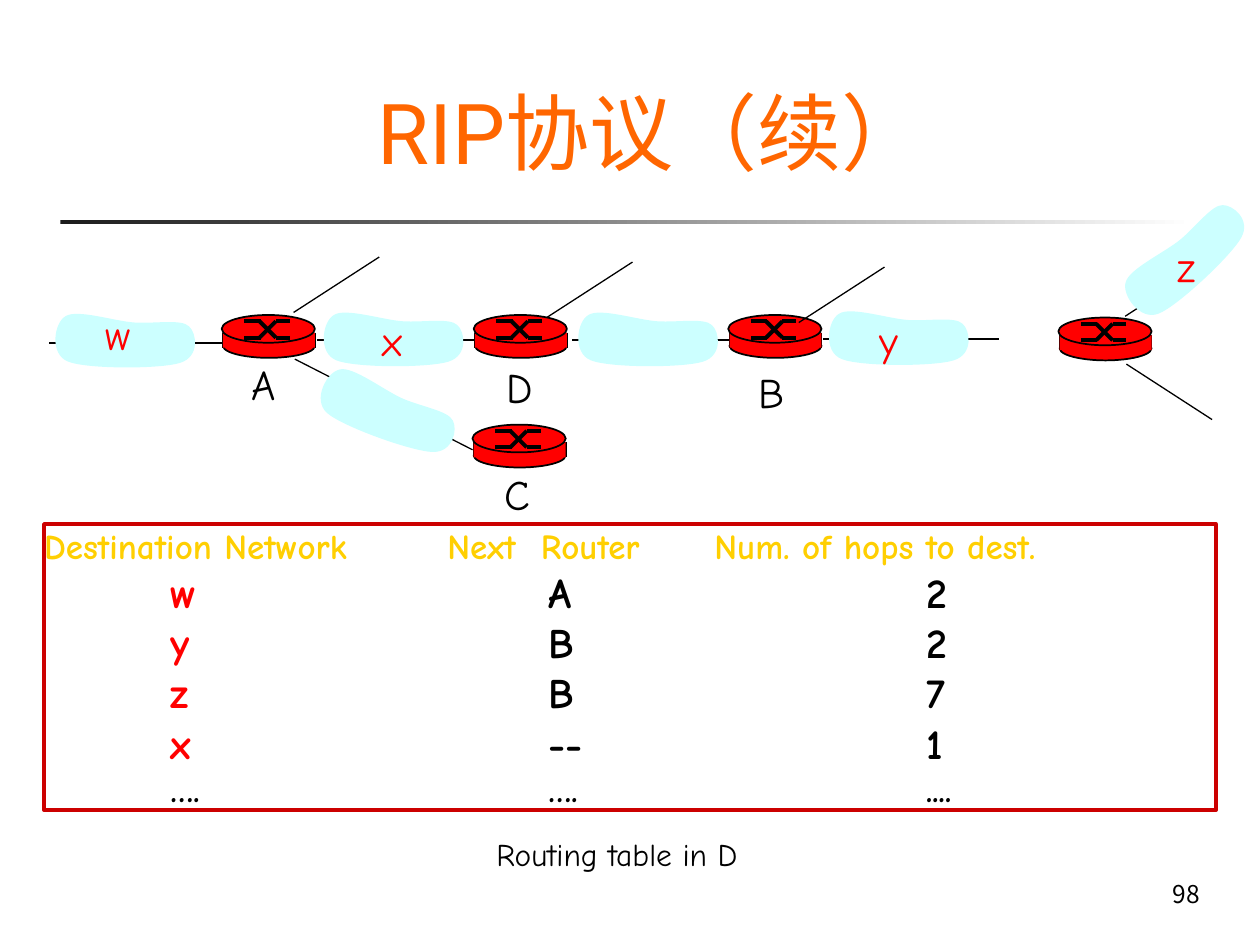
from lxml import etree
from pptx import Presentation
from pptx.dml.color import RGBColor
from pptx.enum.shapes import MSO_CONNECTOR, MSO_SHAPE
from pptx.enum.text import MSO_ANCHOR, MSO_AUTO_SIZE, PP_ALIGN
from pptx.oxml.ns import qn
from pptx.util import Pt

RECT, OVAL = MSO_SHAPE.RECTANGLE, MSO_SHAPE.OVAL
LEFT, CENTER, RIGHT = PP_ALIGN.LEFT, PP_ALIGN.CENTER, PP_ALIGN.RIGHT
PX = 9144  # 100 px to the inch
HAND, SANS, TITLE = "Comic Neue", "Noto Sans CJK SC", "Roboto"
BLACK, RED, CYAN = "000000", "FF0000", "CCFFFF"

# Cloud outline in its box: start, then two controls and an end per curve
CLOUD_W, CLOUD_H = 120, 48
CLOUD_START = (68, 11)
CLOUD_CURVES = [
    ((52, 10), (22, 0), (13, 6)),
    ((4, 11), (0, 36), (15, 42)),
    ((30, 48), (88, 48), (104, 43)),
    ((120, 38), (117, 19), (111, 14)),
    ((105, 8), (84, 12), (68, 11)),
]
ROUTER_MARKS = [
    (18, 5, 31, 5), (43, 18, 54, 18), (30, 5, 43, 18),
    (18, 18, 31, 18), (43, 5, 54, 5), (30, 18, 43, 5),
]


def px(*values):
    return [round(v * PX) for v in values]


def rgb(hex_color):
    return RGBColor.from_string(hex_color)


def style_run(r, size, font, color, bold=False):
    r.font.size, r.font.name, r.font.bold = Pt(size), font, bold
    r.font.color.rgb = rgb(color)


def style_shape(sp, fill=None, line=None, width=1):
    sp.shadow.inherit = False
    if fill:
        sp.fill.solid()
        sp.fill.fore_color.rgb = rgb(fill)
    else:
        sp.fill.background()
    if line:
        sp.line.color.rgb = rgb(line)
        sp.line.width = Pt(width)
    else:
        sp.line.fill.background()


def add_box(shapes, kind, box, fill=None, line=None, width=1):
    sp = shapes.add_shape(kind, *px(*box))
    style_shape(sp, fill, line, width)
    return sp


def add_line(shapes, x1, y1, x2, y2, width):
    cn = shapes.add_connector(MSO_CONNECTOR.STRAIGHT, *px(x1, y1, x2, y2))
    cn.line.color.rgb = rgb(BLACK)
    cn.line.width = Pt(width)
    etree.SubElement(cn._element.spPr, qn("a:effectLst"))


def add_label(s, text, box, size, color=BLACK, font=HAND, align=LEFT):
    tf = s.shapes.add_textbox(*px(*box)).text_frame
    tf.word_wrap = align == RIGHT
    p = tf.paragraphs[0]
    p.text, p.alignment = text, align
    style_run(p.runs[0], size, font, color)


def add_router(s, x, y):
    shapes = s.shapes.add_group_shape().shapes
    add_box(shapes, OVAL, (x + 1, y + 15, 73, 19), RED, BLACK)
    for side in (1, 74):
        add_line(shapes, x + side, y + 14, x + side, y + 26, 1)
    add_box(shapes, RECT, (x + 1, y + 14, 73, 12), RED)
    add_box(shapes, OVAL, (x, y, 74, 22), RED, BLACK)
    for x1, y1, x2, y2 in ROUTER_MARKS:
        add_line(shapes, x + x1, y + y1, x + x2, y + y2, 2.25)


def add_cloud(s, x, y, rotation=0):
    # The box corners fix the size; curves then replace the straight sides
    right, bottom = x + CLOUD_W, y + CLOUD_H
    builder = s.shapes.build_freeform(*px(x, y))
    builder.add_line_segments([px(right, y), px(right, bottom), px(x, bottom)])
    sp = builder.convert_to_shape()
    outline = sp._element.spPr.find(".//" + qn("a:path"))
    for side in list(outline):
        outline.remove(side)
    segments = [("a:moveTo", [CLOUD_START])]
    segments += [("a:cubicBezTo", curve) for curve in CLOUD_CURVES]
    for tag, points in segments + [("a:close", [])]:
        segment = etree.SubElement(outline, qn(tag))
        for point in points:
            cx, cy = px(*point)
            etree.SubElement(segment, qn("a:pt"), x=str(cx), y=str(cy))
    style_shape(sp, CYAN)
    sp.rotation = rotation


def add_header(s):
    # Fading rule under the title
    rule = add_box(s.shapes, RECT, (48, 175, 900, 3))
    rule.fill.gradient()
    rule.fill.gradient_angle = 0
    for stop, color in zip(rule.fill.gradient_stops, ("1C1C1C", "FFFFFF")):
        stop.color.rgb = rgb(color)

    title = s.shapes.title
    title.left, title.top, title.width, title.height = px(92, 50, 850, 99)
    tf = title.text_frame
    tf.text = "RIP协议（续）"
    tf.auto_size, tf.vertical_anchor = MSO_AUTO_SIZE.NONE, MSO_ANCHOR.BOTTOM
    p = tf.paragraphs[0]
    p.alignment = CENTER
    style_run(p.runs[0], 48, TITLE, "FF6600")


def add_network(s):
    # Horizontal links between routers
    for x, y in [(39, 272), (252, 270), (454, 270), (653, 269)]:
        add_line(s.shapes, x, y, x + 140, y, 1)
    for x, y in [(176, 250), (376, 250), (375, 337), (578, 250), (840, 252)]:
        add_router(s, x, y)
    # Slanted links
    for x, y in [(233, 248), (434, 252), (634, 256), (893, 251)]:
        add_line(s.shapes, x, y, x + 68, y - 44, 0.75)
    add_line(s.shapes, 894, 289, 962, 333, 0.75)
    add_line(s.shapes, 234, 285, 375, 357, 0.75)
    # Networks
    for x, y, rotation in [(39, 245, 0), (252, 244, 0), (454, 244, 0),
                           (653, 243, 0), (248, 302, 19.7), (880, 181, 316.8)]:
        add_cloud(s, x, y, rotation)
    # Network and router names
    for text, x, y, w, color in [
            ("w", 74, 240, 40, RED), ("x", 294, 245, 36, RED),
            ("y", 688, 245, 35, RED), ("z", 925, 186, 34, RED),
            ("A", 190, 280, 39, BLACK), ("C", 391, 367, 40, BLACK),
            ("D", 392, 282, 41, BLACK), ("B", 592, 286, 40, BLACK)]:
        add_label(s, text, (x, y, w, 50), 24, color)


def add_row(p, stops, parts):
    p.alignment = LEFT
    tabs = etree.SubElement(p._p.get_or_add_pPr(), qn("a:tabLst"))
    for stop in stops:
        etree.SubElement(tabs, qn("a:tab"), pos=str(stop * PX), algn="l")
    for text, size, color in parts:
        r = p.add_run()
        r.text = text
        style_run(r, size, HAND, color, bold=True)


def add_routing_table(s, box):
    tf = add_box(s.shapes, RECT, box, line="CC0000", width=2.25).text_frame
    tf.margin_left = tf.margin_top = tf.margin_right = tf.margin_bottom = 0
    tf.word_wrap, tf.vertical_anchor = True, MSO_ANCHOR.TOP
    add_row(tf.paragraphs[0], (320, 532),
            [("Destination Network\tNext  Router\tNum. of hops to dest.", 20, "FFCF01")])
    columns = (100, 400, 700)
    for network, router, hops in [("w", "A", "2"), ("y", "B", "2"),
                                  ("z", "B", "7"), ("x", "--", "1")]:
        add_row(tf.add_paragraph(), columns,
                [(f"\t{network}", 24, RED), (f"\t{router}\t{hops}", 24, BLACK)])
    add_row(tf.add_paragraph(), columns, [("\t….\t….\t....", 20, BLACK)])


def main():
    prs = Presentation()
    prs.slide_width, prs.slide_height = px(1000, 750)
    s = prs.slides.add_slide(prs.slide_layouts[5])
    add_header(s)
    add_network(s)
    add_routing_table(s, (35, 416, 930, 227))
    add_label(s, "Routing table in D", (384, 658, 212, 40), 18)
    add_label(s, "98", (904, 693, 58, 36), 14, font=SANS, align=RIGHT)
    prs.save("out.pptx")


if __name__ == "__main__":
    main()
